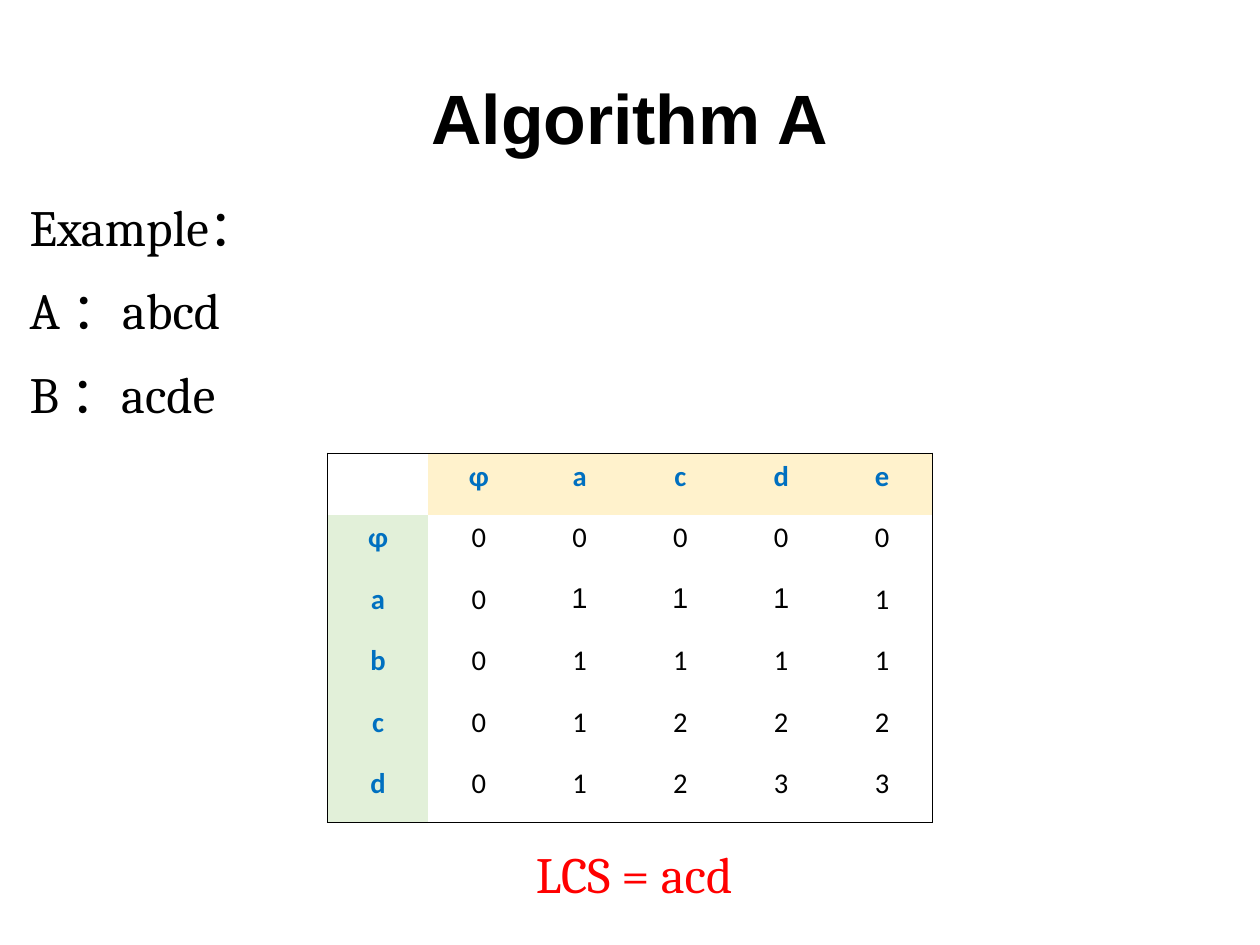
import pptx
import pptx.dml.color
import pptx.enum.text
import pptx.util
import lxml.etree

ALIGN = pptx.enum.text.PP_ALIGN
ANCHOR = pptx.enum.text.MSO_ANCHOR
SPACE = "{http://schemas.openxmlformats.org/drawingml/2006/main}"


def tint(code):
    return pptx.dml.color.RGBColor.from_string(code)


class Deck:
    """Holds the style and the current slide; lengths are percent of its size."""

    ink, blue, red = "000000", "0070C0", "FF0000"
    cream, green = "FFF2CC", "E2F0D9"
    serif, sans, plain, wide = "Cambria", "Arial", "Calibri", "Noto Sans CJK TC"

    def __init__(self, width, height):
        self.show = pptx.Presentation()
        self.show.slide_width = pptx.util.Cm(width)
        self.show.slide_height = pptx.util.Cm(height)
        self.slide = self.show.slides.add_slide(self.show.slide_layouts[6])

    def place(self, left, top, width, height):
        across, down = self.show.slide_width, self.show.slide_height
        shares = ((left, across), (top, down), (width, across), (height, down))
        return [round(share * size / 100) for share, size in shares]

    def style(self, item, face, size, color, bold=False):
        font = item.font
        font.name, font.size, font.bold = face, pptx.util.Pt(size), bold
        font.color.rgb = tint(color)

    def text(self, spot, lines, face, size, color, bold=False, align=ALIGN.LEFT,
             anchor=ANCHOR.TOP, inset=(0, 0), wrap=True, gap=0):
        frame = self.slide.shapes.add_textbox(*self.place(*spot)).text_frame
        frame.word_wrap, frame.vertical_anchor = wrap, anchor
        frame.margin_left = frame.margin_right = pptx.util.Inches(inset[0])
        frame.margin_top = frame.margin_bottom = pptx.util.Inches(inset[1])
        for order, line in enumerate(lines):
            par = frame.add_paragraph() if order else frame.paragraphs[0]
            par.alignment = align
            if order:
                par.space_before = pptx.util.Pt(gap)
            for part, name in line:
                run = par.add_run()
                run.text = part
                if name != face:
                    run.font.name = name
                if "：" in part:
                    props = run._r.get_or_add_rPr()
                    lxml.etree.SubElement(props, f"{SPACE}ea", typeface=self.wide)
            self.style(par, face, size, color, bold)

    def edge(self, cell, side, drawn):
        props = cell._tc.get_or_add_tcPr()
        line = lxml.etree.SubElement(props, f"{SPACE}ln{side}", w="12700")
        if drawn:
            fill = lxml.etree.SubElement(line, f"{SPACE}solidFill")
            lxml.etree.SubElement(fill, f"{SPACE}srgbClr", val=self.ink)
        else:
            lxml.etree.SubElement(line, f"{SPACE}noFill")

    def table(self, spot, rows, special):
        high, wide = len(rows), len(rows[0])
        frame = self.slide.shapes.add_table(high, wide, *self.place(*spot))
        grid = frame.table
        grid.first_row = grid.horz_banding = False
        for r, row in enumerate(rows):
            for c, word in enumerate(row):
                cell = grid.cell(r, c)
                cell.margin_left = cell.margin_right = pptx.util.Inches(0.06)
                cell.margin_top = cell.margin_bottom = pptx.util.Inches(0.05)
                sides = {"L": c == 0, "R": c == wide - 1,
                         "T": r == 0, "B": r == high - 1}
                for side, drawn in sides.items():
                    self.edge(cell, side, drawn)
                head = r == 0 or c == 0
                if head and word:
                    cell.fill.solid()
                    cell.fill.fore_color.rgb = tint(self.green if r else self.cream)
                else:
                    cell.fill.background()
                par = cell.text_frame.paragraphs[0]
                par.text, par.alignment = word, ALIGN.CENTER
                face = self.sans if (r, c) in special else self.plain
                self.style(par, face, 18, self.blue if head else self.ink, head)


def main():
    deck = Deck(28, 21)
    deck.text((5, 4, 90, 16.69), [[("Algorithm A", deck.sans)]], deck.sans, 44,
              deck.ink, bold=True, align=ALIGN.CENTER, anchor=ANCHOR.MIDDLE)
    scores = ["00000", "01111", "01111", "01222", "01233"]
    rows = [["", *"ɸacde"]]
    rows += [[name, *score] for name, score in zip("ɸabcd", scores)]
    deck.table((26, 47.98, 48, 39.06), rows, {(2, 2), (2, 3), (2, 4)})
    lines = [[("Example", deck.serif), ("：", deck.wide)],
             [("A ：abcd", deck.serif)], [("B ：acde", deck.serif)]]
    deck.text((2.36, 20.68, 92.65, 18.02), lines, deck.serif, 32, deck.ink, gap=14.2)
    deck.text((41.65, 88.6, 19.15, 7.74), [[("LCS = acd", deck.serif)]], deck.serif,
              32, deck.red, inset=(0.1, 0.05), wrap=False)
    deck.show.save("out.pptx")


if __name__ == "__main__":
    main()
